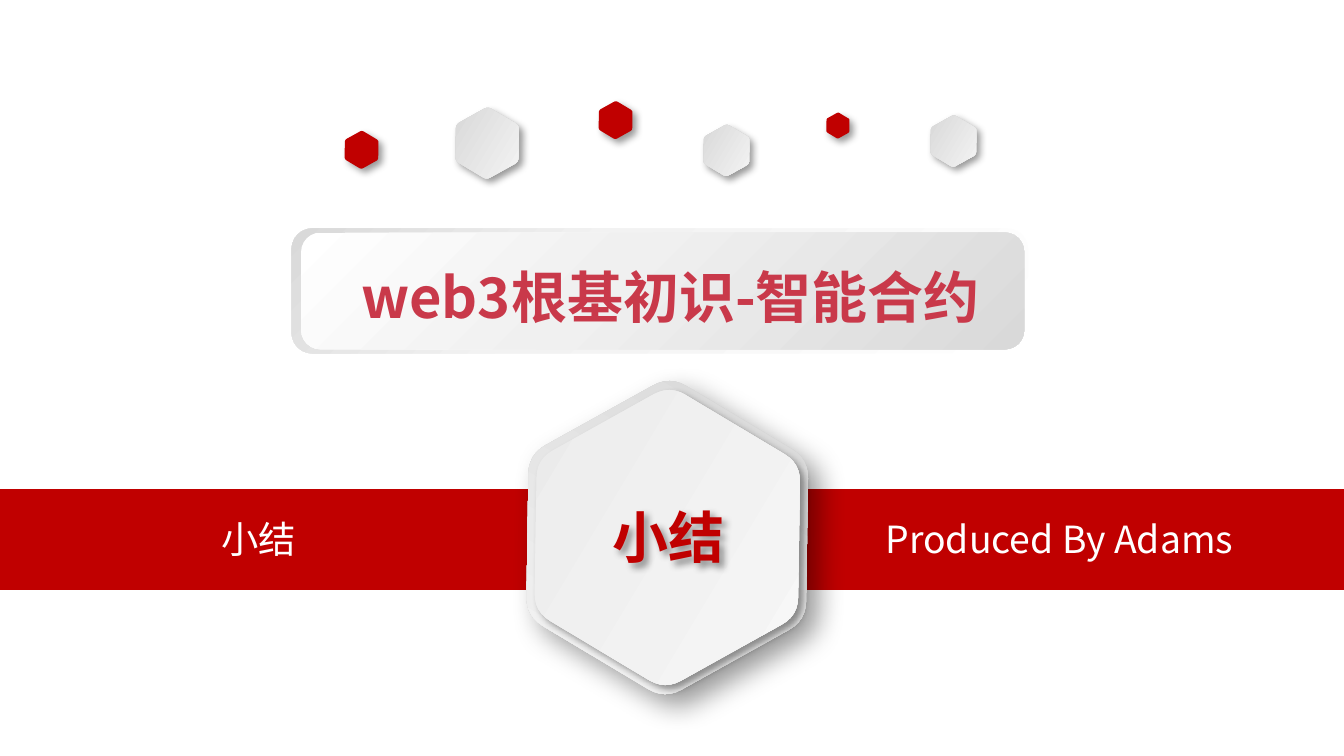
from dataclasses import dataclass
from math import cos, radians, sin

from lxml.etree import SubElement
from pptx import Presentation
from pptx.dml.color import RGBColor
from pptx.enum.shapes import MSO_SHAPE as Preset
from pptx.enum.text import MSO_ANCHOR as Anchor, MSO_AUTO_SIZE as AutoSize, PP_ALIGN as Align
from pptx.oxml.ns import qn
from pptx.util import Pt

FONT = "Noto Sans CJK SC"
TILT = 30.9
COLORS = {
    "red": "C00000",
    "rose": "C9394A",
    "white": "FFFFFF",
    "black": "000000",
    "silver": "D3D3D3",
    "pale": "F9F9F9",
    "mist": "E9E9E9",
    "gray": "D9D9D9",
    "light": "F2F2F2",
    "soft": "F0F0F0",
}


@dataclass(frozen=True)
class Gradient:
    stops: tuple
    angle: int = 0  # clockwise degrees


@dataclass(frozen=True)
class Shadow:
    blur: float = 4
    distance: float = 3
    opacity: int = 40
    angle: int = 45


@dataclass(frozen=True)
class Hexagon:
    x: float
    y: float
    radius: float
    fill: object
    shadow: Shadow = Shadow()


@dataclass(frozen=True)
class Panel:
    preset: Preset
    left: float
    top: float
    width: float
    height: float
    fill: object


SILVER = Gradient(((0, "silver"), (100, "pale")))
HEXAGONS = (
    Hexagon(261, 76.7, 19.5, SILVER),
    Hexagon(329.8, 64.4, 10.4, "red"),
    Hexagon(193.7, 80.3, 10.4, "red"),
    Hexagon(389.2, 80.6, 14.1, SILVER),
    Hexagon(448.9, 67.3, 7.1, "red"),
    Hexagon(510.8, 75.6, 14.1, SILVER),
    Hexagon(357.5, 288, 86.5, Gradient(SILVER.stops, 90), Shadow(15, 9)),
    Hexagon(357.5, 288, 81.5, Gradient(((0, "mist"), (100, "pale")))),
)
BAND = Panel(Preset.RECTANGLE, 0, 262, 720, 54, "red")
TITLE_PANELS = (
    Panel(Preset.ROUNDED_RECTANGLE, 156.2, 122.4, 394.6, 67,
          Gradient(((0, "white"), (62, "light"), (100, "gray")), 225)),
    Panel(Preset.ROUNDED_RECTANGLE, 161.3, 124.6, 387.4, 62.6,
          Gradient(((0, "white"), (42, "soft"), (100, "gray")), 45)),
)


def paint(shape, fill) -> None:
    """Fill with a colour name, a Gradient or nothing, without an outline."""
    shape.shadow.inherit = False
    shape.line.fill.background()
    if fill is None:
        shape.fill.background()
    elif isinstance(fill, str):
        shape.fill.solid()
        shape.fill.fore_color.rgb = RGBColor.from_string(COLORS[fill])
    else:
        shape.fill.gradient()
        gradient = shape.element.spPr.find(qn("a:gradFill"))
        stop_list = gradient.find(qn("a:gsLst"))
        for stop in list(stop_list):
            stop_list.remove(stop)
        for position, color in fill.stops:
            stop = SubElement(stop_list, qn("a:gs"), pos=str(position * 1000))
            SubElement(stop, qn("a:srgbClr"), val=COLORS[color])
        gradient.find(qn("a:lin")).set("ang", str(fill.angle * 60000))


def cast_shadow(shape, shadow: Shadow) -> None:
    effects = shape.element.spPr.find(qn("a:effectLst"))
    outer = SubElement(effects, qn("a:outerShdw"), blurRad=str(Pt(shadow.blur)),
                       dist=str(Pt(shadow.distance)), dir=str(shadow.angle * 60000),
                       algn="tl", rotWithShape="0")
    color = SubElement(outer, qn("a:srgbClr"), val=COLORS["black"])
    SubElement(color, qn("a:alpha"), val=str(shadow.opacity * 1000))


def rounded_outline(hexagon: Hexagon, trim: float = 0.12, steps: int = 6) -> list:
    """Points of a flat-topped hexagon whose corners are quadratic curves."""
    corners = [(hexagon.x + hexagon.radius * cos(radians(60 * i)),
                hexagon.y + hexagon.radius * sin(radians(60 * i))) for i in range(6)]
    points = []
    for i, corner in enumerate(corners):
        before, after = corners[i - 1], corners[(i + 1) % 6]
        for step in range(steps + 1):
            t = step / steps
            to_before, to_after = trim * (1 - t) ** 2, trim * t ** 2
            points.append(tuple(
                Pt(c + to_before * (b - c) + to_after * (a - c))
                for b, c, a in zip(before, corner, after)))
    return points


def draw_hexagon(page, hexagon: Hexagon) -> None:
    points = rounded_outline(hexagon)
    builder = page.shapes.build_freeform(*points[0])
    builder.add_line_segments(points[1:], close=True)
    shape = builder.convert_to_shape()
    shape.rotation = TILT
    paint(shape, hexagon.fill)
    cast_shadow(shape, hexagon.shadow)


def draw_panel(page, panel: Panel):
    shape = page.shapes.add_shape(panel.preset, Pt(panel.left), Pt(panel.top),
                                  Pt(panel.width), Pt(panel.height))
    paint(shape, panel.fill)
    return shape


def write(box, text: str, *, size: float, color: str, bold: bool = False,
          align=Align.CENTER, anchor=Anchor.TOP) -> None:
    frame = box.text_frame
    frame.word_wrap = True
    frame.auto_size = AutoSize.NONE
    frame.vertical_anchor = anchor
    para = frame.paragraphs[0]
    para.alignment = align
    span = para.add_run()
    span.text = text
    span.font.name = FONT
    span.font.size = Pt(size)
    span.font.bold = bold
    span.font.color.rgb = RGBColor.from_string(COLORS[color])
    SubElement(span.font._element, qn("a:ea"), typeface=FONT)


def add_caption(page, left: float, text: str, align) -> None:
    box = page.shapes.add_textbox(Pt(left), Pt(272.9), Pt(252.7), Pt(31.7))
    write(box, text, size=20, color="white", align=align)


def main() -> None:
    deck = Presentation()
    deck.slide_width, deck.slide_height = Pt(720), Pt(405)
    page = deck.slides.add_slide(deck.slide_layouts[5])

    draw_panel(page, BAND)
    add_caption(page, 12.2, "小结", Align.CENTER)
    add_caption(page, 467.3, "Produced By Adams", Align.LEFT)
    for hexagon in HEXAGONS:
        draw_hexagon(page, hexagon)
    for panel in TITLE_PANELS:
        draw_panel(page, panel)

    title = page.shapes.title
    title.left, title.top, title.width, title.height = Pt(162), Pt(136.8), Pt(394.6), Pt(43.2)
    write(title, "web3根基初识-智能合约", size=30, color="rose", bold=True)
    page.shapes.element.append(title.element)  # in front of its panels

    badge = draw_panel(page, Panel(Preset.ROUNDED_RECTANGLE, 287.3, 269.3, 141.8, 36, None))
    cast_shadow(badge, Shadow())
    write(badge, "小结", size=30, color="red", bold=True, anchor=Anchor.MIDDLE)

    deck.save("out.pptx")


if __name__ == "__main__":
    main()
